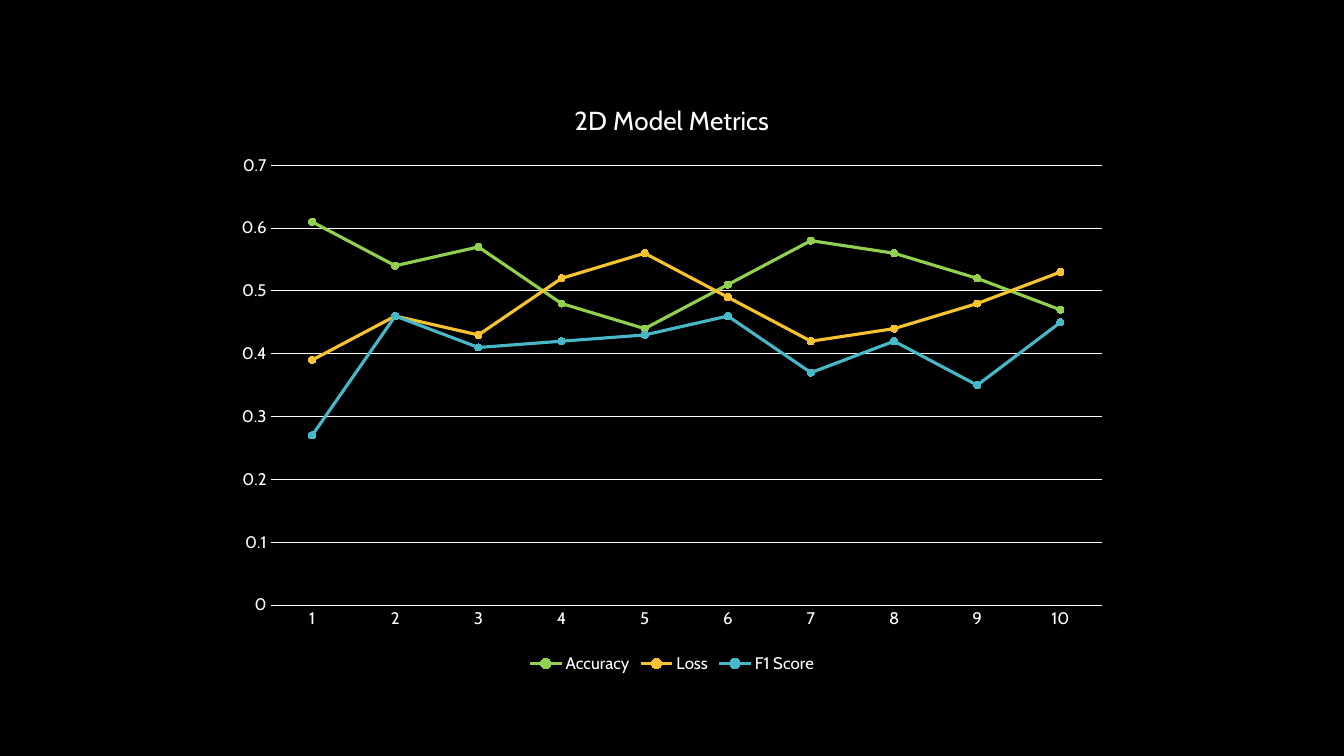
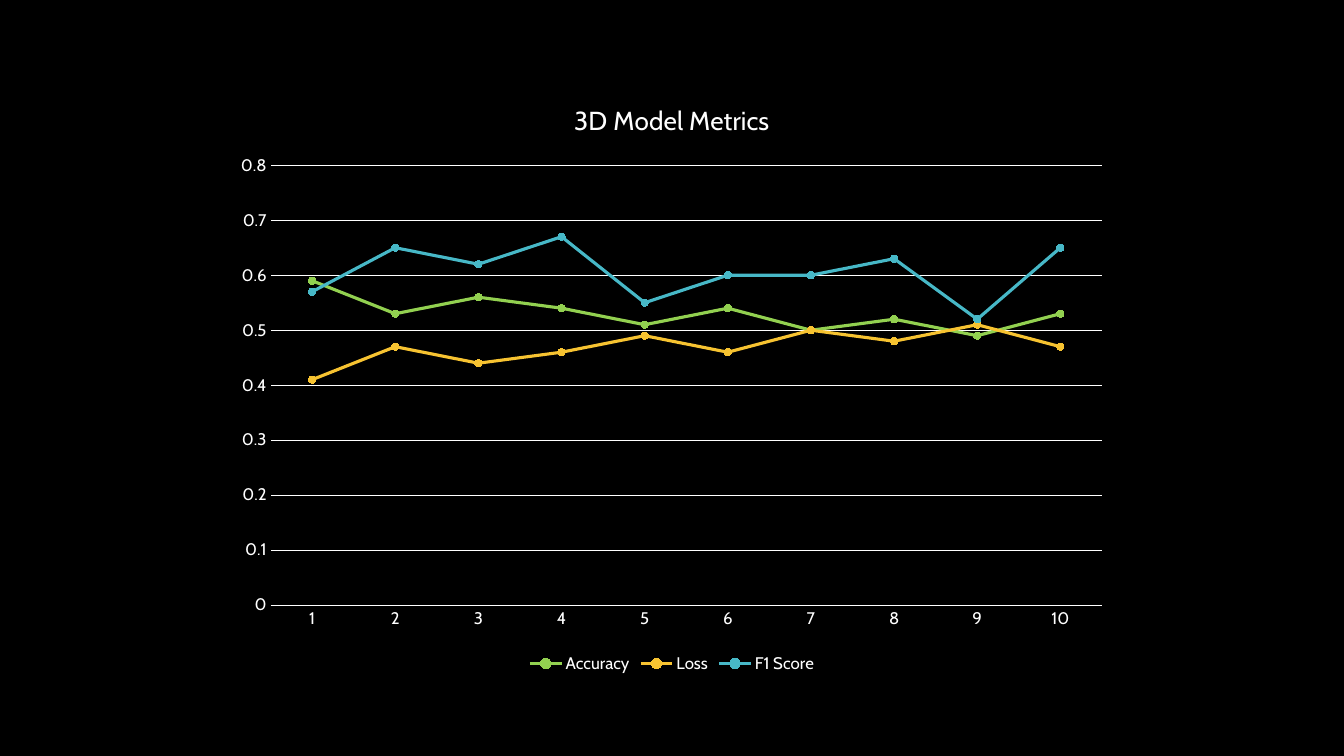
from dataclasses import dataclass

from lxml import etree
from pptx import Presentation
from pptx import util as u
from pptx.chart.chart import Chart
from pptx.chart.data import CategoryChartData
from pptx.dml import color as dml
from pptx.enum import chart as enums
from pptx.oxml import ns

BLACK = "000000"
WHITE = "FFFFFF"
FONT = "Cabin"
TITLE_SIZE = 18.6
LABEL_SIZE = 12
SERIES_COLORS = {"Accuracy": "92D050", "Loss": "F7C331", "F1 Score": "47B8C7"}
CHART_BOX = (160, 57, 640, 427)
PLOT_LAYOUT = {
    "layoutTarget": "inner", "xMode": "edge", "yMode": "edge",
    "x": 0.052, "y": 0.143, "w": 0.928, "h": 0.736,
}


@dataclass(frozen=True)
class MetricsSlide:
    title: str
    maximum: float
    series: dict[str, tuple[float, ...]]


METRICS_SLIDES = [
    MetricsSlide("2D Model Metrics", 0.7, {
        "Accuracy": (0.61, 0.54, 0.57, 0.48, 0.44, 0.51, 0.58, 0.56, 0.52, 0.47),
        "Loss": (0.39, 0.46, 0.43, 0.52, 0.56, 0.49, 0.42, 0.44, 0.48, 0.53),
        "F1 Score": (0.27, 0.46, 0.41, 0.42, 0.43, 0.46, 0.37, 0.42, 0.35, 0.45),
    }),
    MetricsSlide("3D Model Metrics", 0.8, {
        "Accuracy": (0.59, 0.53, 0.56, 0.54, 0.51, 0.54, 0.5, 0.52, 0.49, 0.53),
        "Loss": (0.41, 0.47, 0.44, 0.46, 0.49, 0.46, 0.5, 0.48, 0.51, 0.47),
        "F1 Score": (0.57, 0.65, 0.62, 0.67, 0.55, 0.6, 0.6, 0.63, 0.52, 0.65),
    }),
]


def set_values(target, values: dict) -> None:
    for name, value in values.items():
        setattr(target, name, value)


def paint(fill, color: str) -> None:
    fill.solid()
    fill.fore_color.rgb = dml.RGBColor.from_string(color)


def style_font(font, size: float) -> None:
    set_values(font, {"name": FONT, "size": u.Pt(size), "bold": False})
    paint(font.fill, WHITE)


def style_line(line, color: str, width: float) -> None:
    paint(line.fill, color)
    line.width = u.Pt(width)


def place_plot(chart: Chart) -> None:
    plot_area = chart.element.find(".//" + ns.qn("c:plotArea"))
    for layout in plot_area.findall(ns.qn("c:layout")):
        plot_area.remove(layout)
    layout = etree.Element(ns.qn("c:layout"))
    manual = etree.SubElement(layout, ns.qn("c:manualLayout"))
    for name, value in PLOT_LAYOUT.items():
        etree.SubElement(manual, ns.qn(f"c:{name}")).set("val", str(value))
    plot_area.insert(0, layout)


def style_axes(chart: Chart, maximum: float) -> None:
    for axis in (chart.category_axis, chart.value_axis):
        set_values(axis, {
            "major_tick_mark": enums.XL_TICK_MARK.NONE,
            "minor_tick_mark": enums.XL_TICK_MARK.NONE,
        })
        style_font(axis.tick_labels.font, LABEL_SIZE)
    style_line(chart.category_axis.format.line, WHITE, 0.75)
    value_axis = chart.value_axis
    set_values(value_axis, {
        "minimum_scale": 0,
        "maximum_scale": maximum,
        "major_unit": 0.1,
        "has_major_gridlines": True,
    })
    value_axis.format.line.fill.background()
    style_line(value_axis.major_gridlines.format.line, WHITE, 0.75)


def style_series(chart: Chart) -> None:
    chart.plots[0].vary_by_categories = False
    for series in chart.plots[0].series:
        color = SERIES_COLORS[series.name]
        series.smooth = False
        style_line(series.format.line, color, 2.25)
        marker = series.marker
        set_values(marker, {"style": enums.XL_MARKER_STYLE.CIRCLE, "size": 5})
        paint(marker.format.fill, color)
        style_line(marker.format.line, color, 0.75)


def add_metrics_slide(presentation, metrics: MetricsSlide) -> None:
    slide = presentation.slides.add_slide(presentation.slide_layouts[6])
    paint(slide.background.fill, BLACK)
    data = CategoryChartData()
    data.categories = [str(number) for number in range(1, 11)]
    for name, values in metrics.series.items():
        data.add_series(name, values)
    box = [u.Pt(length) for length in CHART_BOX]
    chart = slide.shapes.add_chart(enums.XL_CHART_TYPE.LINE_MARKERS, *box, data).chart
    style_font(chart.font, 10)
    set_values(chart, {"has_title": True, "has_legend": True})
    title = chart.chart_title.text_frame
    title.text = metrics.title
    style_font(title.paragraphs[0].runs[0].font, TITLE_SIZE)
    set_values(chart.legend, {
        "position": enums.XL_LEGEND_POSITION.BOTTOM,
        "include_in_layout": False,
    })
    style_font(chart.legend.font, LABEL_SIZE)
    style_axes(chart, metrics.maximum)
    style_series(chart)
    place_plot(chart)


def main() -> None:
    presentation = Presentation()
    set_values(presentation, {"slide_width": u.Pt(960), "slide_height": u.Pt(540)})
    for metrics in METRICS_SLIDES:
        add_metrics_slide(presentation, metrics)
    presentation.save("out.pptx")


if __name__ == "__main__":
    main()
